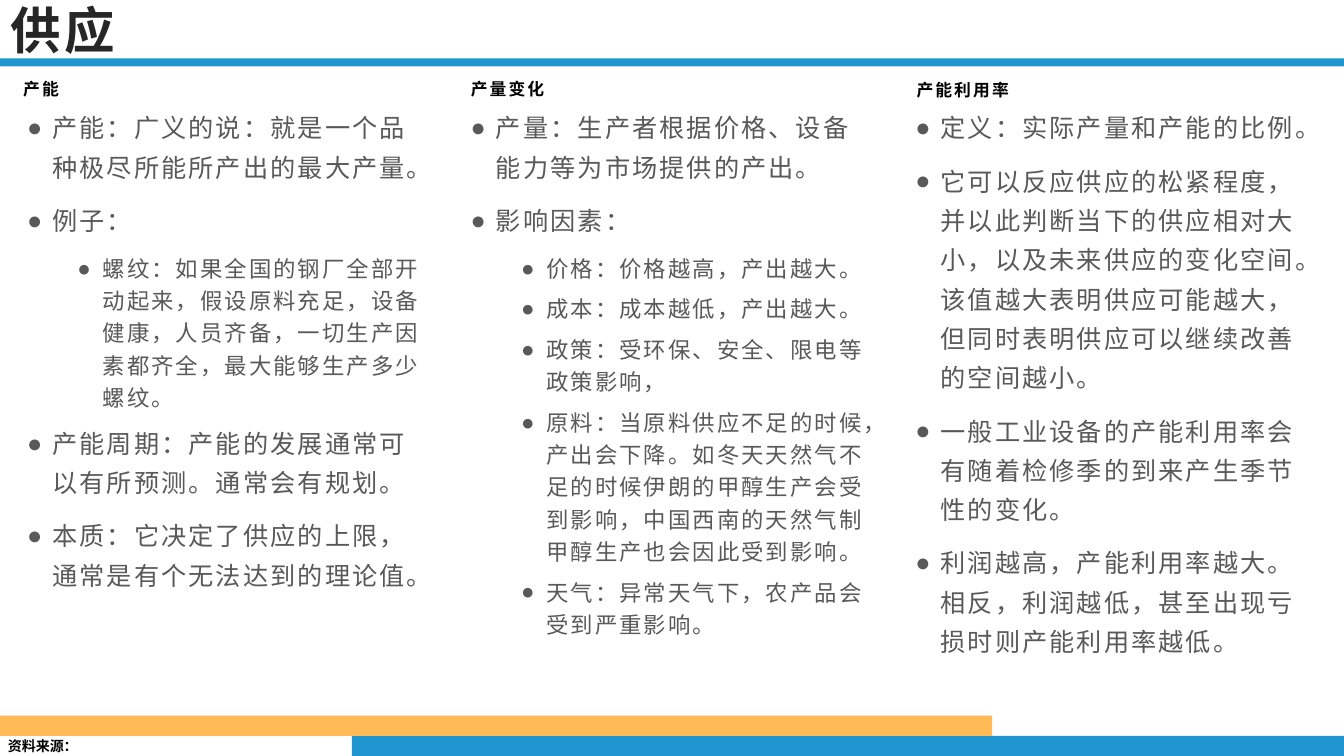
from pptx import Presentation
from pptx.dml.color import RGBColor
from pptx.enum.shapes import MSO_SHAPE
from pptx.enum.text import MSO_ANCHOR, MSO_AUTO_SIZE, PP_ALIGN
from pptx.oxml.ns import qn
from pptx.util import Inches, Pt
from lxml.etree import SubElement


def color(value):
    return RGBColor.from_string(value)


def add_span(para, text, size, font, ink, bold=False, spacing=0):
    span = para.add_run()
    span.text = text
    span.font.size = Pt(size)
    span.font.bold = bold
    span.font.name = font
    span.font.color.rgb = color(ink)
    properties = span.font._element
    properties.set("spc", str(int(spacing * 100)))
    SubElement(properties, qn("a:ea")).set("typeface", font)


HEADING_FONT = "Noto Sans CJK SC"
BODY_FONT = "Arial"
BLUE = "2094CE"
ORANGE = "FFBA55"

bars = [
    (3.49, 7.3, 9.84, 0.2, BLUE),
    (0, 7.1, 9.84, 0.2, ORANGE),
    (0, 0.58, 13.33, 0.08, BLUE),
]

columns = [
    (0.17, 0.14, 0.72, "产能", [
        (0, "产能：广义的说：就是一个品种极尽所能所产出的最大产量。"),
        (0, "例子："),
        (1, "螺纹：如果全国的钢厂全部开动起来，假设原料充足，设备健康，人员齐备，一切生产因素都齐全，最大能够生产多少螺纹。"),
        (0, "产能周期：产能的发展通常可以有所预测。通常会有规划。"),
        (0, "本质：它决定了供应的上限，通常是有个无法达到的理论值。"),
    ]),
    (4.57, 4.58, 0.72, "产量变化", [
        (0, "产量：生产者根据价格、设备能力等为市场提供的产出。"),
        (0, "影响因素："),
        (1, "价格：价格越高，产出越大。"),
        (1, "成本：成本越低，产出越大。"),
        (1, "政策：受环保、安全、限电等政策影响，"),
        (1, "原料：当原料供应不足的时候，产出会下降。如冬天天然气不足的时候伊朗的甲醇生产会受到影响，中国西南的天然气制甲醇生产也会因此受到影响。"),
        (1, "天气：异常天气下，农产品会受到严重影响。"),
    ]),
    (8.98, 9, 0.73, "产能利用率", [
        (0, "定义：实际产量和产能的比例。"),
        (0, "它可以反应供应的松紧程度，并以此判断当下的供应相对大小，以及未来供应的变化空间。该值越大表明供应可能越大，但同时表明供应可以继续改善的空间越小。"),
        (0, "一般工业设备的产能利用率会有随着检修季的到来产生季节性的变化。"),
        (0, "利润越高，产能利用率越大。相反，利润越低，甚至出现亏损时则产能利用率越低。"),
    ]),
]

level_styles = [
    {"size": 18, "indent": 0.25, "line": 1.3, "after": 10},
    {"size": 16, "indent": 0.75, "line": 1.2, "after": 6},
]

deck = Presentation()
deck.slide_width = Inches(13.33)
deck.slide_height = Inches(7.5)
page = deck.slides.add_slide(deck.slide_layouts[5])

for left, top, width, height, fill in bars:
    bar = page.shapes.add_shape(
        MSO_SHAPE.RECTANGLE, Inches(left), Inches(top), Inches(width), Inches(height))
    bar.shadow.inherit = False
    bar.fill.solid()
    bar.fill.fore_color.rgb = color(fill)
    bar.line.fill.background()

source = page.shapes.add_textbox(Inches(-0.02), Inches(7.27), Inches(0.79), Inches(0.27))
source.text_frame.word_wrap = False
add_span(source.text_frame.paragraphs[0], "资料来源：", 10, HEADING_FONT, "000000", bold=True)

title = page.shapes.title
title.left, title.top = Inches(0), Inches(0)
title.width, title.height = Inches(11.44), Inches(0.58)
title.text_frame.auto_size = MSO_AUTO_SIZE.NONE
title.text_frame.vertical_anchor = MSO_ANCHOR.MIDDLE
title_para = title.text_frame.paragraphs[0]
title_para.alignment = PP_ALIGN.LEFT
add_span(title_para, "供应", 36, HEADING_FONT, "262626", bold=True, spacing=3)

for body_left, heading_left, heading_top, heading, points in columns:
    body = page.shapes.add_textbox(Inches(body_left), Inches(0.98), Inches(4.22), Inches(6.12))
    frame = body.text_frame
    frame.word_wrap = True
    for index, (level, text) in enumerate(points):
        style = level_styles[level]
        para = frame.add_paragraph() if index else frame.paragraphs[0]
        para.level = level
        para.line_spacing = style["line"]
        para.space_after = Pt(style["after"])
        properties = para._p.get_or_add_pPr()
        properties.set("marL", str(Inches(style["indent"])))
        properties.set("indent", str(Inches(-0.25)))
        SubElement(properties, qn("a:buFont")).set("typeface", BODY_FONT)
        SubElement(properties, qn("a:buChar")).set("char", "●")
        add_span(para, text, style["size"], BODY_FONT, "595959", spacing=1.5)

    label = page.shapes.add_textbox(
        Inches(heading_left), Inches(heading_top), Inches(4.25), Inches(0.26))
    label.fill.solid()
    label.fill.fore_color.rgb = color("FFFFFF")
    frame = label.text_frame
    frame.word_wrap = True
    frame.vertical_anchor = MSO_ANCHOR.MIDDLE
    frame.margin_left = frame.margin_right = Inches(0.09)
    frame.margin_top = frame.margin_bottom = Inches(0.04)
    para = frame.paragraphs[0]
    para.line_spacing = 1.3
    para.space_after = Pt(10)
    add_span(para, heading, 12, HEADING_FONT, "000000", bold=True, spacing=1.5)

deck.save("out.pptx")
